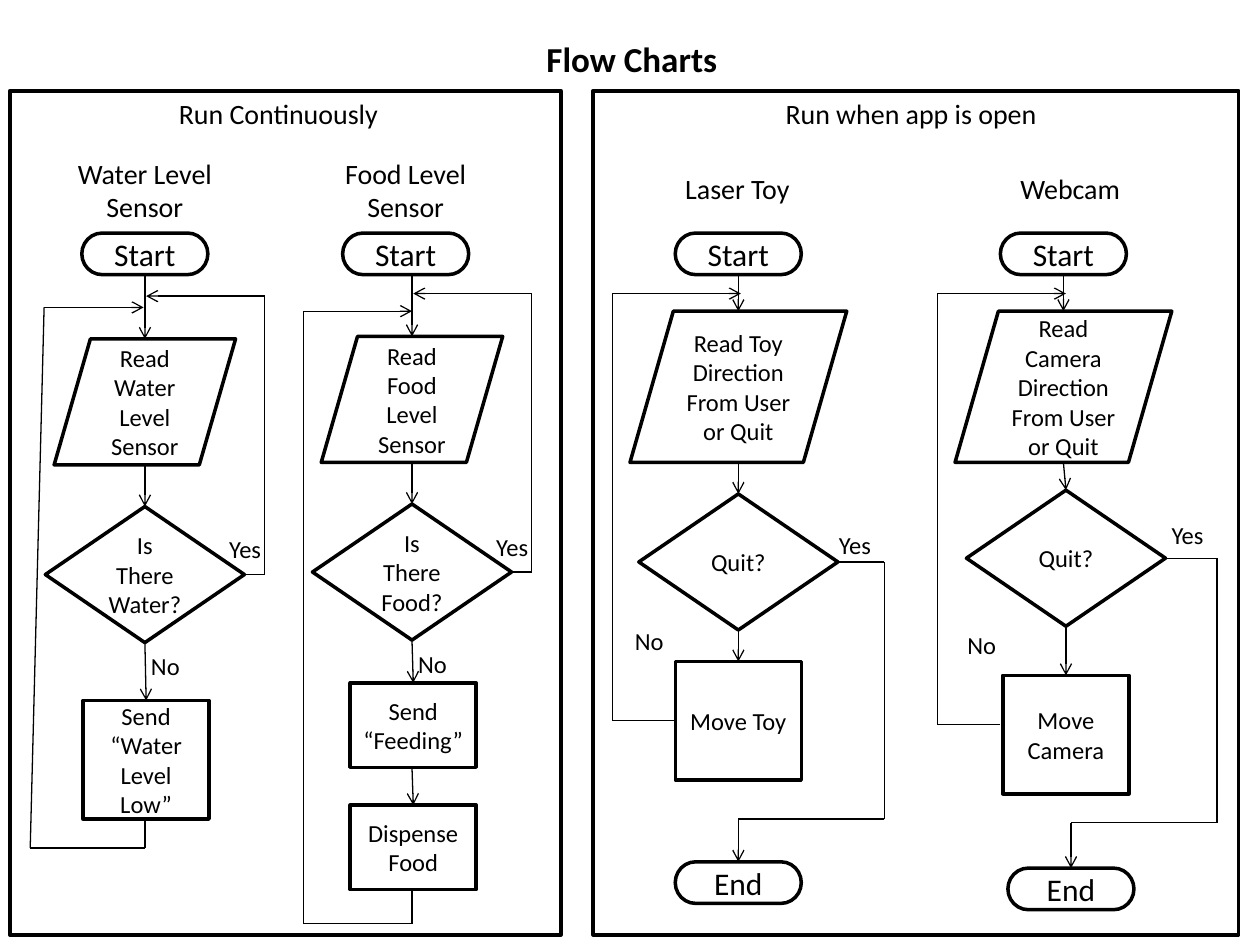
from lxml.etree import SubElement
from pptx import Presentation
from pptx.dml.color import RGBColor
from pptx.enum.shapes import MSO_CONNECTOR as Connector, MSO_SHAPE as Shape
from pptx.enum.text import MSO_ANCHOR as Anchor, MSO_AUTO_SIZE as AutoSize, PP_ALIGN as Align
from pptx.oxml.ns import qn
from pptx.util import Inches, Pt

BLACK = "000000"
FONT = "Calibri"


def color(value):
    """Turn a hex string into a colour."""
    return RGBColor.from_string(value)


def write(shape, text, size, align=Align.CENTER, bold=False):
    """Fill a shape with text and format every run."""
    shape.text_frame.text = text
    for paragraph in shape.text_frame.paragraphs:
        paragraph.alignment = align
        for run in paragraph.runs:
            run.font.name = FONT
            run.font.size = Pt(size)
            run.font.bold = bold
            run.font.color.rgb = color(BLACK)


def add_label(slide, text, left, top, width, height=0.34, size=14, align=Align.LEFT):
    """Add unwrapped text."""
    label = slide.shapes.add_textbox(*map(Inches, (left, top, width, height)))
    label.text_frame.word_wrap = False
    write(label, text, size, align)


def add_node(slide, kind, center, top, width, height, text="", size=14, weight=2):
    """Add an outlined symbol centred on a column."""
    node = slide.shapes.add_shape(
        kind, *map(Inches, (center - width / 2, top, width, height)))
    node.shadow.inherit = False
    node.fill.background()
    node.line.color.rgb = color(BLACK)
    node.line.width = Pt(weight)
    node.text_frame.word_wrap = True
    node.text_frame.vertical_anchor = Anchor.MIDDLE
    if text:
        write(node, text, size)


def add_route(slide, *points):
    """Join points with straight lines; the last one ends in an arrow."""
    for begin, end in zip(points, points[1:]):
        line = slide.shapes.add_connector(
            Connector.STRAIGHT, *map(Inches, (*begin, *end)))
        line.line.color.rgb = color(BLACK)
        line.line.width = Pt(0.75)
        properties = line.line._get_or_add_ln()
        if end is points[-1]:
            SubElement(properties, qn("a:tailEnd"), type="arrow")
        SubElement(line._element.spPr, qn("a:effectLst"))


def add_terminator(slide, center, top, text):
    """Add a start or end symbol."""
    add_node(slide, Shape.FLOWCHART_TERMINATOR, center, top, 1, 0.33, text, 18)


def add_panel(slide, left, width, heading, heading_left, heading_width):
    """Add a framed panel with its heading."""
    top = 0.72
    add_node(slide, Shape.RECTANGLE, left + width / 2, top, width, 6.7, weight=2.25)
    add_label(slide, heading, left + heading_left, top, heading_width, 0.37, 16,
              Align.CENTER)


def add_sensor_chart(slide, center, top, subject, start_center, steps, return_route):
    """Add a sensor loop; top is that of its read symbol."""
    add_label(slide, f"{subject} Level\nSensor", start_center - 0.7, 1.19, 1.4, 0.64,
              16, Align.CENTER)
    add_terminator(slide, start_center, 1.85, "Start")
    add_node(slide, Shape.FLOWCHART_DATA, center, top, 1.44, 1,
             f"Read {subject} Level Sensor")
    add_node(slide, Shape.FLOWCHART_DECISION, center, top + 1.33, 1.58, 1.08,
             f"Is There {subject}?")
    add_route(slide, (center, 2.18), (center, top))
    add_route(slide, (center, top + 1), (center, top + 1.33))

    yes_y, yes_x = top + 1.87, center + 0.95
    add_route(slide, (center + 0.79, yes_y), (yes_x, yes_y),
              (yes_x, top - 0.34), (center + 0.01, top - 0.34))
    add_label(slide, "Yes", center + 0.57, top + 1.5, 0.46)
    add_label(slide, "No", center - 0.05, top + 2.43, 0.43)

    bottom = top + 2.41
    for text, step_top, height in steps:
        add_route(slide, (center, bottom), (center + 0.01, step_top))
        add_node(slide, Shape.FLOWCHART_PROCESS, center + 0.01, step_top, 1, height, text)
        bottom = step_top + height
    add_route(slide, (center, bottom), (center, return_route[0][1]), *return_route)


def add_app_chart(slide, center, heading, heading_box, read, move, shift, tops,
                  return_y, exit_route, yes_at, no_at):
    """Add an app loop; shift moves its lower symbols off the column centre."""
    quit_top, move_top, end_top = tops
    exit_x, exit_y, end_center = exit_route
    lower = center + shift
    read_top, merge_y = 2.47, 2.33
    left, width = heading_box
    add_label(slide, heading, left, 1.31, width, 0.37, 16)
    add_terminator(slide, center, 1.85, "Start")
    add_node(slide, Shape.FLOWCHART_DATA, center, read_top, 1.72, 1.2,
             f"Read {read} Direction From User or Quit")
    add_node(slide, Shape.FLOWCHART_DECISION, lower, quit_top, 1.58, 1.08, "Quit?")
    add_node(slide, Shape.FLOWCHART_PROCESS, lower, move_top, 1, 0.94, move)
    add_terminator(slide, end_center, end_top, "End")

    add_route(slide, (center, 2.18), (center, read_top))
    add_route(slide, (center, read_top + 1.2), (lower, quit_top))
    add_route(slide, (lower, quit_top + 1.08), (lower, move_top))
    add_route(slide, (center - 0.5, return_y), (center - 1, return_y),
              (center - 1, merge_y), (center + 0.02, merge_y))
    quit_y = quit_top + 0.54
    add_route(slide, (lower + 0.79, quit_y), (exit_x, quit_y), (exit_x, exit_y),
              (end_center, exit_y), (end_center, end_top))
    add_label(slide, "Yes", *yes_at, 0.46)
    add_label(slide, "No", *no_at, 0.43)


def add_title(slide, text):
    """Place and format the slide title."""
    title = slide.shapes.title
    title.left, title.top, title.width, title.height = map(
        Inches, (4.23, 0.25, 1.57, 0.44))
    title.text_frame.word_wrap = False
    title.text_frame.auto_size = AutoSize.NONE
    title.text_frame.vertical_anchor = Anchor.TOP
    write(title, text, 20, bold=True)


def main():
    """Build and save the slide."""
    presentation = Presentation()
    presentation.slide_width, presentation.slide_height = Inches(10), Inches(7.5)
    slide = presentation.slides.add_slide(presentation.slide_layouts[5])
    add_title(slide, "Flow Charts")
    add_panel(slide, 0.08, 4.37, "Run Continuously", 1.23, 1.8)
    add_panel(slide, 4.71, 5.12, "Run when app is open", 1.41, 2.22)

    add_sensor_chart(slide, 1.15, 2.69, "Water", 1.15,
                     [("Send “Water Level Low”", 5.56, 0.94)],
                     [(0.24, 6.73), (0.35, 2.44), (1.14, 2.44)])
    add_sensor_chart(slide, 3.27, 2.67, "Food", 3.22,
                     [("Send “Feeding”", 5.42, 0.67), ("Dispense Food", 6.39, 0.67)],
                     [(2.41, 7.33), (2.41, 2.47), (3.27, 2.47)])
    add_app_chart(slide, 5.86, "Laser Toy", (5.34, 1.04), "Toy", "Move Toy", 0,
                  (3.92, 5.25, 6.84), 5.72, (7.02, 6.5, 5.86),
                  yes_at=(6.56, 4.16), no_at=(4.94, 4.92))
    add_app_chart(slide, 8.44, "Webcam", (8, 1), "Camera", "Move Camera", 0.02,
                  (3.89, 5.36, 6.89), 5.75, (9.66, 6.53, 8.5),
                  yes_at=(9.2, 4.08), no_at=(7.58, 4.95))
    presentation.save("out.pptx")


main()
